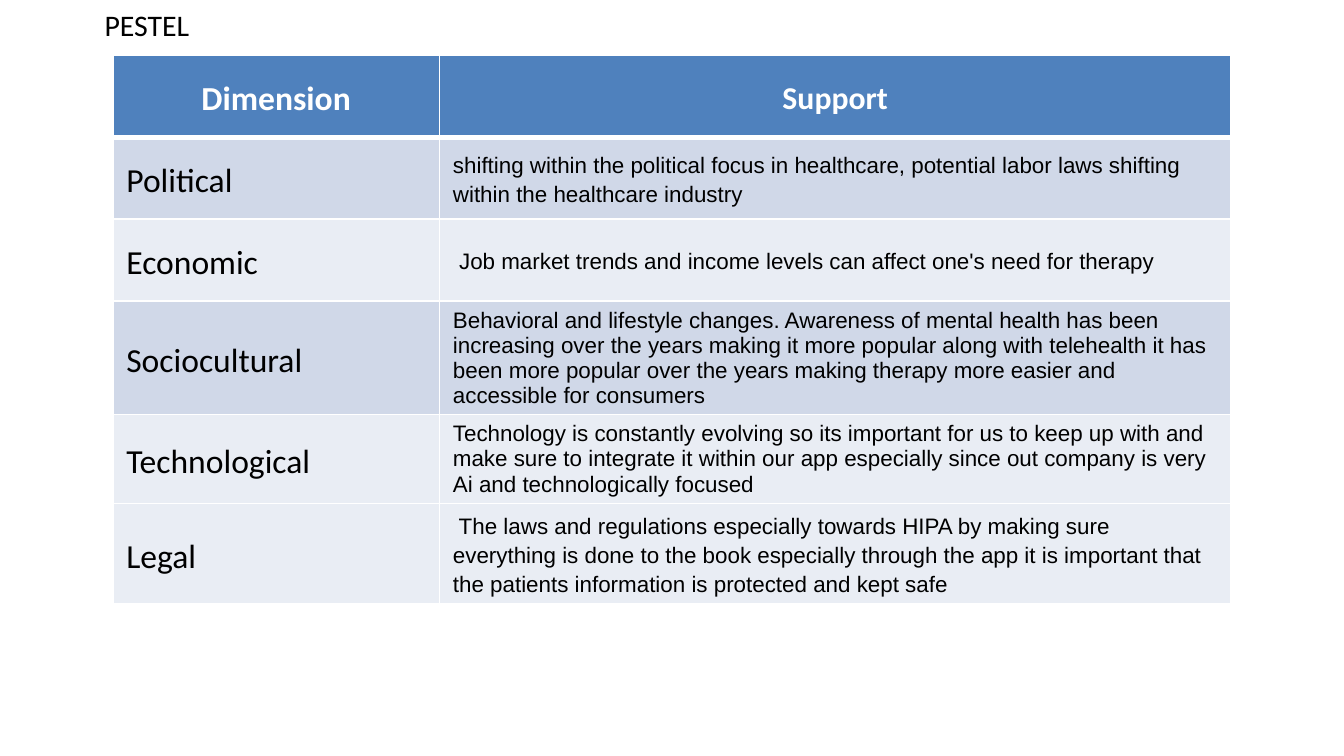
"""Build a PESTEL slide with a table of dimensions and their support."""
import pptx
import pptx.dml.color
import pptx.enum.text
import pptx.oxml
import pptx.oxml.ns
import pptx.util

Inches = pptx.util.Inches
Pt = pptx.util.Pt
RGBColor = pptx.dml.color.RGBColor

WHITE = RGBColor(0xFF, 0xFF, 0xFF)
BLACK = RGBColor(0x00, 0x00, 0x00)
BLUE = RGBColor(0x4F, 0x81, 0xBD)
MID = RGBColor(0xD0, 0xD8, 0xE8)
PALE = RGBColor(0xE9, 0xED, 0xF4)

ROWS = [
    ("Dimension", "Support", BLUE, 1.15),
    ("Political", "shifting within the political focus in healthcare, potential labor laws "
     "shifting within the healthcare industry", MID, 1.15),
    ("Economic", " Job market trends and income levels can affect one's need for therapy",
     PALE, 1.15),
    ("Sociocultural", "Behavioral and lifestyle changes. Awareness of mental health has been "
     "increasing over the years making it more popular along with telehealth it has been more "
     "popular over the years making therapy more easier and accessible for consumers",
     MID, None),
    ("Technological", "Technology is constantly evolving so its important for us to keep up "
     "with and make sure to integrate it within our app especially since out company is very "
     "Ai and technologically focused", PALE, None),
    ("Legal", " The laws and regulations especially towards HIPA by making sure everything is "
     "done to the book especially through the app it is important that the patients "
     "information is protected and kept safe", PALE, 1.15),
]


def style(para, face, size, color, bold=False):
    font = para.runs[0].font
    font.name = face
    font.size = Pt(size)
    font.bold = bold
    font.color.rgb = color


def border(cell, side, width):
    cell._tc.get_or_add_tcPr().append(pptx.oxml.parse_xml(
        f'<a:ln{side} {pptx.oxml.ns.nsdecls("a")} w="{Pt(width)}">'
        f'<a:solidFill><a:srgbClr val="{WHITE}"/></a:solidFill></a:ln{side}>'))


deck = pptx.Presentation()
deck.slide_width = Inches(10)
deck.slide_height = Inches(10) * 9 // 16
slide = deck.slides.add_slide(deck.slide_layouts[6])

table = slide.shapes.add_table(
    len(ROWS), 2, Inches(0.84), Inches(0.41), Inches(8.32), Inches(3.66)).table
table.columns[0].width = Inches(2.43)
table.columns[1].width = Inches(5.89)

for row, (name, note, fill, space) in enumerate(ROWS):
    head = row == 0
    table.rows[row].height = Inches(0.61)
    for col, text in enumerate((name, note)):
        cell = table.cell(row, col)
        cell.vertical_anchor = pptx.enum.text.MSO_ANCHOR.MIDDLE
        cell.text_frame.text = text
        para = cell.text_frame.paragraphs[0]
        para.line_spacing = space if col else 1.15
        if head:
            para.alignment = pptx.enum.text.PP_ALIGN.CENTER
            style(para, "Calibri", 17 if col else 18, WHITE, True)
        elif col:
            style(para, "Arial", 12, BLACK)
        else:
            style(para, "Calibri", 18, BLACK)
        border(cell, "L", 0.75)
        border(cell, "R", 0.75)
        border(cell, "T", 3 if row == 1 else 0.75)
        border(cell, "B", 3 if head else 0.75)
        cell.fill.solid()
        cell.fill.fore_color.rgb = fill

title = slide.shapes.add_textbox(Inches(0.68), Inches(0), Inches(1.23), Inches(0.15))
frame = title.text_frame
frame.word_wrap = True
frame.auto_size = pptx.enum.text.MSO_AUTO_SIZE.SHAPE_TO_FIT_TEXT
frame.margin_left = frame.margin_right = Inches(0.1)
frame.margin_top = frame.margin_bottom = Inches(0.1)
frame.text = "PESTEL"
style(frame.paragraphs[0], "Calibri", 16, BLACK)

deck.save("out.pptx")
